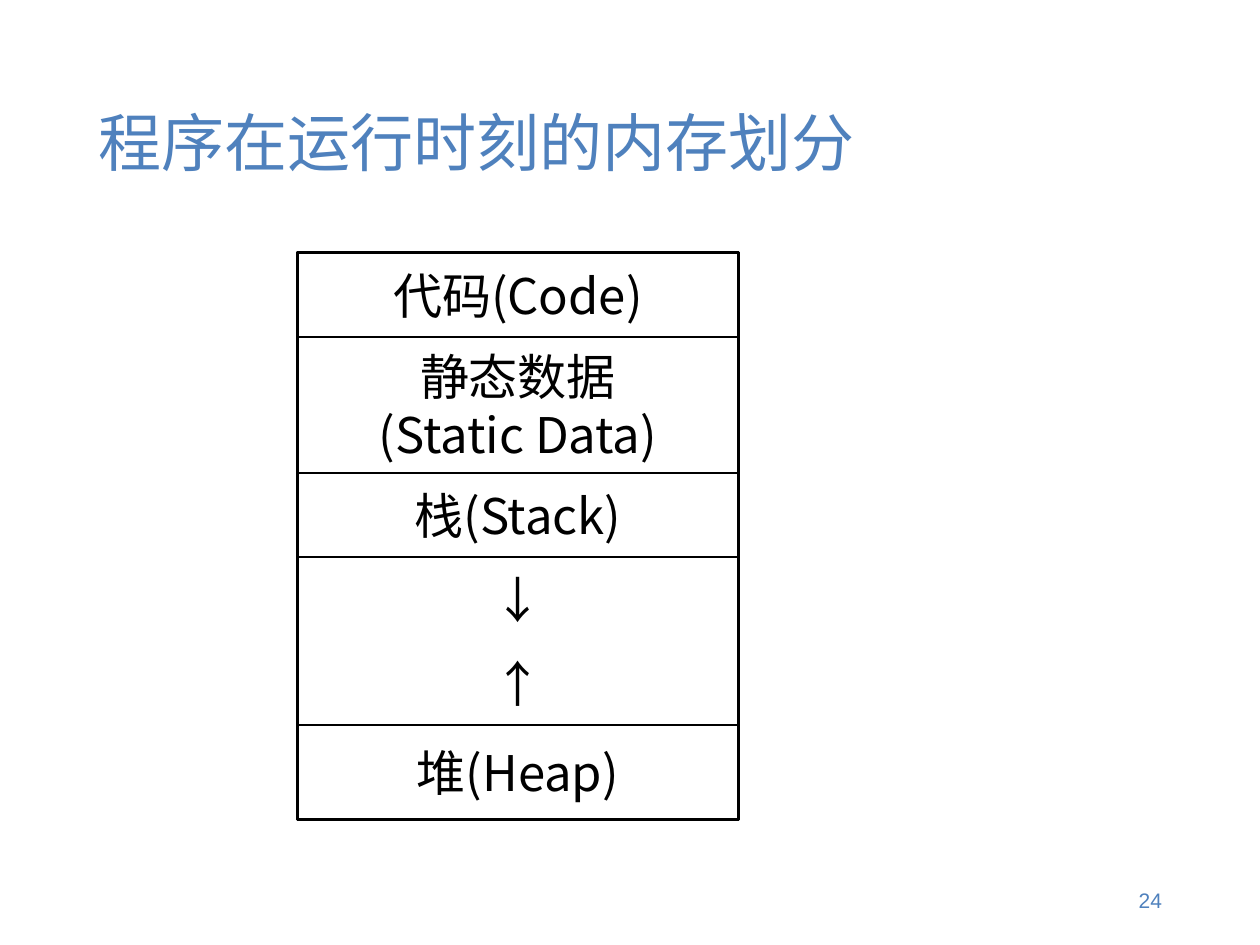
"""Build a slide on how a program's memory is divided at run time."""
from lxml import etree
from pptx import Presentation
from pptx.dml.color import RGBColor
from pptx.enum.shapes import MSO_SHAPE
from pptx.enum.text import MSO_ANCHOR, MSO_AUTO_SIZE, PP_ALIGN
from pptx.oxml.ns import qn
from pptx.util import Pt

RECT = MSO_SHAPE.RECTANGLE
MID, FIXED = MSO_ANCHOR.MIDDLE, MSO_AUTO_SIZE.NONE
LEFT, MID_ROW, RIGHT = PP_ALIGN.LEFT, PP_ALIGN.CENTER, PP_ALIGN.RIGHT

TITLE = "程序在运行时刻的内存划分"
PAGE = "24"
AREAS = [
    ("代码(Code)", 53, True),
    ("静态数据\n(Static Data)", 85.7, True),
    ("栈(Stack)", 53, True),
    ("↓", 53, False),
    ("↑", 53, False),
    ("堆(Heap)", 59.3, True),
]

SIZE = (793.75, 595.25)
TITLE_BOX = (54.7, 31.4, 684.7, 115.2)
PAGE_BOX = (560.6, 551.8, 178.5, 31.7)
STACK_X, STACK_Y, STACK_W = 187.4, 159.2, 277.8

BLUE, BLACK = RGBColor(0x4F, 0x81, 0xBD), RGBColor(0, 0, 0)
SANS = "Noto Sans CJK SC"
THEME = {
    "title": {"name": SANS, "size": Pt(39.7), "color": BLUE},
    "label": {"name": SANS, "size": Pt(30.9), "color": BLACK},
    "page": {"name": "Arial", "size": Pt(13.2), "color": BLUE},
    "edge": {"color": BLACK, "width": Pt(1.5)},
}


def place(shape, box):
    for key, val in zip(("left", "top", "width", "height"), box):
        setattr(shape, key, Pt(val))


def write(shape, text, style, align, wrap=True, lead=None):
    frame = shape.text_frame
    frame.text = text
    form = {"word_wrap": wrap, "vertical_anchor": MID, "auto_size": FIXED}
    for key, val in form.items():
        setattr(frame, key, val)
    look = THEME[style]
    for para in frame.paragraphs:
        para.alignment = align
        para.line_spacing = lead
        for run in para.runs:
            for key in ("name", "size"):
                setattr(run.font, key, look[key])
            run.font.color.rgb = look["color"]
            east = etree.SubElement(run._r.get_or_add_rPr(), qn("a:ea"))
            east.set("typeface", look["name"])


def frame_box(slide, box):
    shape = slide.shapes.add_shape(RECT, *map(Pt, box))
    shape.shadow.inherit = False
    shape.fill.background()
    shape.line.color.rgb = THEME["edge"]["color"]
    shape.line.width = THEME["edge"]["width"]
    return shape


def main():
    deck = Presentation()
    deck.slide_width, deck.slide_height = map(Pt, SIZE)
    slide = deck.slides.add_slide(deck.slide_layouts[5])

    title = slide.shapes.title
    place(title, TITLE_BOX)
    write(title, TITLE, "title", LEFT)

    top = STACK_Y
    for text, tall, edged in AREAS:
        box = (STACK_X, top, STACK_W, tall)
        if edged:
            shape = frame_box(slide, box)
        else:
            shape = slide.shapes.add_textbox(*map(Pt, box))
        write(shape, text, "label", MID_ROW, wrap=False)
        top += tall
    frame_box(slide, (STACK_X, STACK_Y, STACK_W, top - STACK_Y))

    page = slide.shapes.add_textbox(*map(Pt, PAGE_BOX))
    write(page, PAGE, "page", RIGHT, lead=0.93)
    deck.save("out.pptx")


if __name__ == "__main__":
    main()
